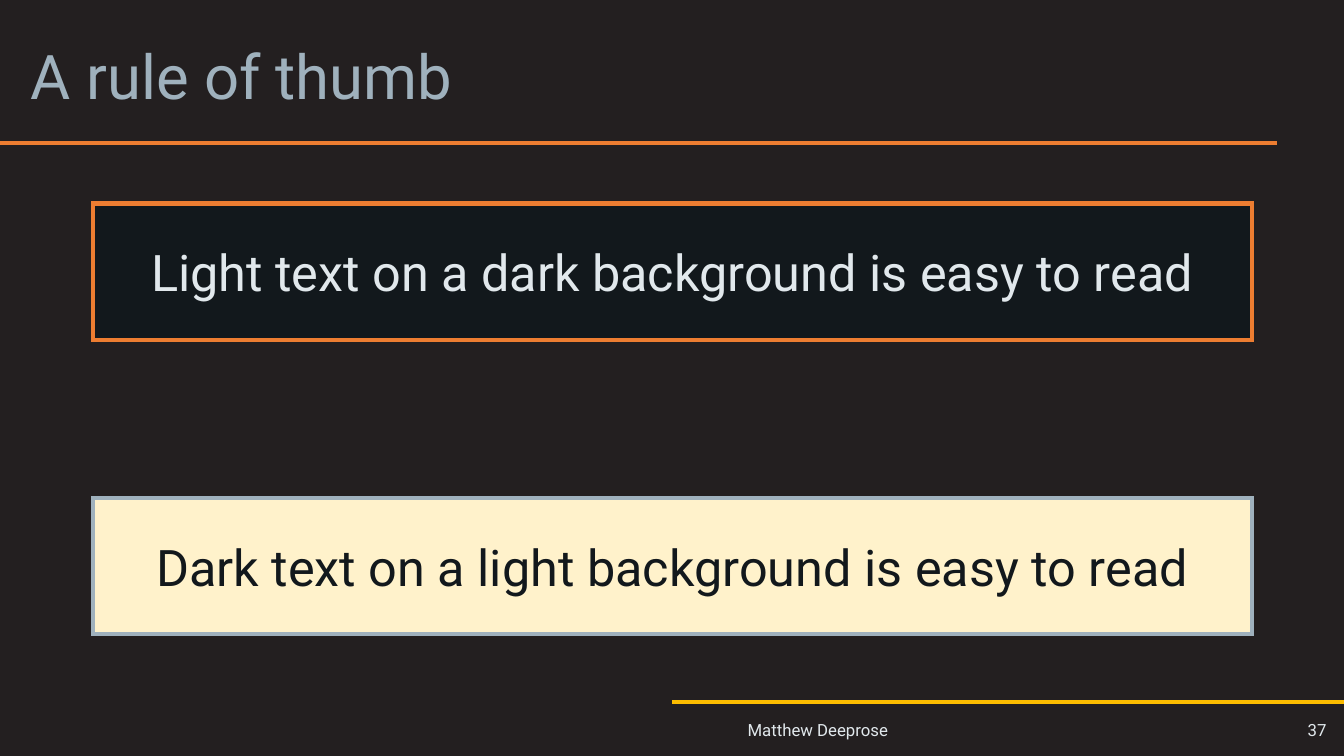
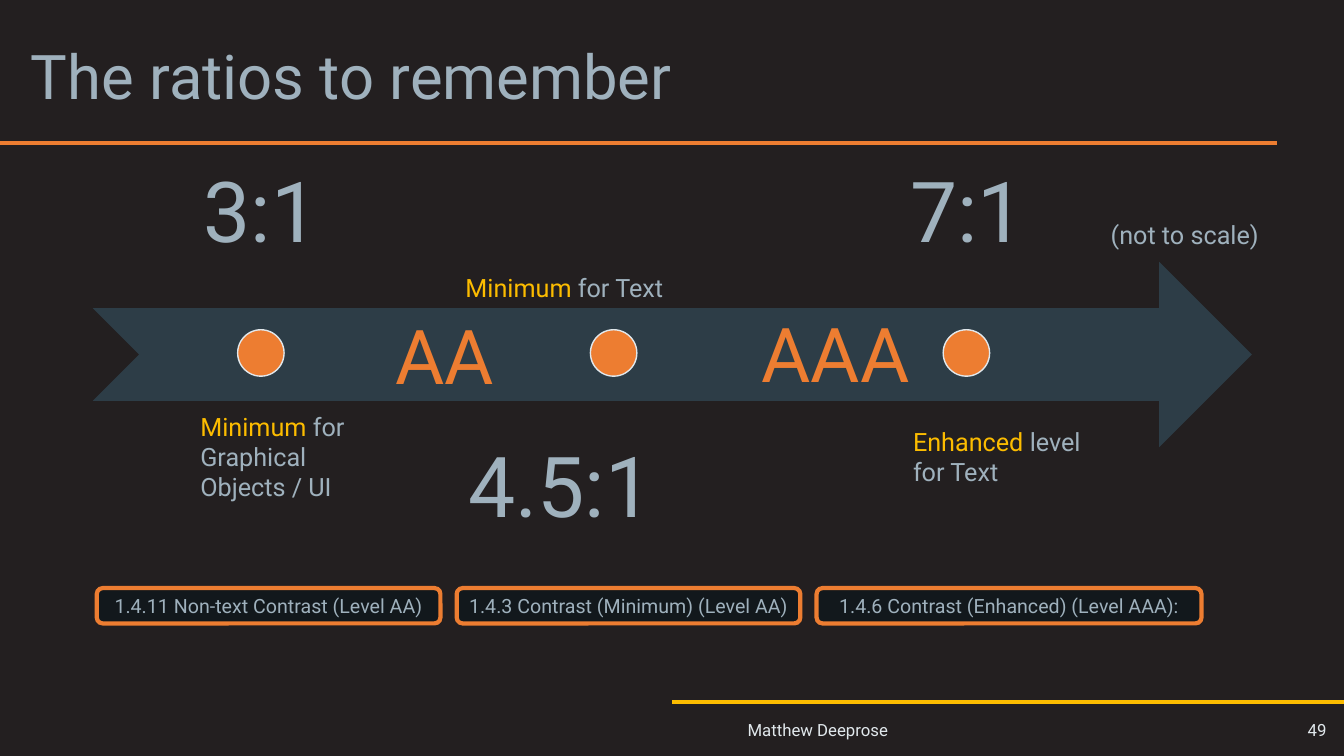
from lxml.etree import SubElement
from pptx import Presentation
from pptx.dml.color import RGBColor
from pptx.enum.shapes import MSO_CONNECTOR, MSO_SHAPE
from pptx.enum.text import MSO_ANCHOR as Anchor, PP_ALIGN as Align
from pptx.oxml.ns import qn
from pptx.util import Cm, Pt

COLORS = {
    "ground": "231F20",
    "panel": "12181C",
    "cream": "FFF2CB",
    "arrow": "2D3D47",
    "mist": "9FB1BD",
    "pale": "E1E8EC",
    "orange": "ED7D31",
    "amber": "FCBC00",
}
FONT = "Roboto"
WIDTH, HEIGHT = 33.87, 19.05


def color(name):
    return RGBColor.from_string(COLORS[name])


def write(frame, *runs, size=18, ink="mist", align=Align.LEFT,
          anchor=Anchor.TOP, spacing=None, inset=None, wrap=True):
    frame.word_wrap = wrap
    frame.vertical_anchor = anchor
    if inset is not None:
        frame.margin_left = frame.margin_right = Cm(inset)
        frame.margin_top = frame.margin_bottom = Cm(inset)
    paragraph = frame.paragraphs[0]
    paragraph.alignment = align
    if spacing:
        paragraph.line_spacing = spacing
    for entry in runs:
        words, run_ink = entry if isinstance(entry, tuple) else (entry, ink)
        run = paragraph.add_run()
        run.text = words
        run.font.name = FONT
        run.font.size = Pt(size)
        run.font.color.rgb = color(run_ink)


class Deck:
    def __init__(self):
        self.prs = Presentation()
        self.prs.slide_width, self.prs.slide_height = Cm(WIDTH), Cm(HEIGHT)
        ground = self.prs.slide_master.background.fill
        ground.solid()
        ground.fore_color.rgb = color("ground")
        self.slide = None

    def start(self, title, number):
        self.slide = self.prs.slides.add_slide(self.prs.slide_layouts[6])
        self.rule(0, 32.18, 3.61, "orange")
        self.rule(WIDTH / 2, WIDTH, 17.68, "amber")
        self.text((0.53, 0.41, 32.69, 3.2), title, size=44,
                  anchor=Anchor.MIDDLE, spacing=0.9)
        footer = {"size": 12, "ink": "pale", "anchor": Anchor.MIDDLE}
        self.text((18.59, 17.88, 11.94, 1.04), "Matthew Deeprose", **footer)
        self.text((31.17, 17.88, 2.51, 1.04), str(number),
                  align=Align.RIGHT, **footer)

    def rule(self, left, right, y, ink):
        rule = self.slide.shapes.add_connector(
            MSO_CONNECTOR.STRAIGHT, Cm(left), Cm(y), Cm(right), Cm(y))
        rule.line.color.rgb = color(ink)
        rule.line.width = Pt(3)
        SubElement(rule._element.spPr, qn("a:effectLst"))

    def text(self, place, *runs, **style):
        box = self.slide.shapes.add_textbox(*map(Cm, place))
        write(box.text_frame, *runs, **style)

    def shape(self, preset, place, fill, line=None, weight=3):
        shape = self.slide.shapes.add_shape(preset, *map(Cm, place))
        shape.shadow.inherit = False
        shape.fill.solid()
        shape.fill.fore_color.rgb = color(fill)
        if line:
            shape.line.color.rgb = color(line)
            shape.line.width = Pt(weight)
            outline = shape._element.spPr.find(qn("a:ln"))
            SubElement(outline, qn("a:miter"), lim="800000")
        else:
            shape.line.fill.background()
        return shape

    def panel(self, preset, place, words, fill, line, **style):
        panel = self.shape(preset, place, fill, line)
        write(panel.text_frame, words, align=Align.CENTER,
              anchor=Anchor.MIDDLE, **style)


def rule_of_thumb(deck):
    deck.start("A rule of thumb", 37)
    for top, words, fill, line, ink in (
        (5.13, "Light text on a dark background is easy to read",
         "panel", "orange", "pale"),
        (12.55, "Dark text on a light background is easy to read",
         "cream", "mist", "panel"),
    ):
        deck.panel(MSO_SHAPE.RECTANGLE, (2.34, top, 29.21, 3.43), words,
                   fill, line, size=36, ink=ink)


def ratios(deck):
    deck.start("The ratios to remember", 49)
    deck.shape(MSO_SHAPE.NOTCHED_RIGHT_ARROW, (2.34, 6.6, 29.21, 4.67), "arrow")
    for step in range(3):
        deck.shape(MSO_SHAPE.OVAL, (5.99 + step * 8.89, 8.31, 1.17, 1.17),
                   "orange", "pale", 1)

    for place, ratio, align, anchor in (
        ((2.34, 3.05, 8.48, 4.67), "3:1", Align.CENTER, Anchor.BOTTOM),
        ((9.15, 10.06, 8.48, 4.67), "4.5:1", Align.RIGHT, Anchor.TOP),
        ((20.14, 3.05, 8.48, 4.67), "7:1", Align.CENTER, Anchor.BOTTOM),
    ):
        deck.text(place, ratio, size=60, align=align, anchor=anchor,
                  spacing=0.9, inset=1.19)

    for place, level in (
        ((9.68, 7.67, 3.07, 2.57), "AA"),
        ((18.87, 7.62, 4.37, 2.57), "AAA"),
    ):
        deck.text(place, level, size=54, ink="orange", align=Align.CENTER,
                  wrap=False)

    for place, keyword, rest in (
        ((4.8, 10.24, 4.98, 2.57), "Minimum ", "for Graphical Objects / UI"),
        ((11.48, 6.73, 5.77, 1.02), "Minimum ", "for Text"),
        ((22.76, 10.62, 4.98, 1.8), "Enhanced ", "level for Text"),
    ):
        deck.text(place, (keyword, "amber"), rest)
    deck.text((27.74, 5.41, 4.98, 1.02), "(not to scale)")

    left, gap = 2.44, 0.41
    for criterion, width in (
        ("1.4.11 Non-text Contrast (Level AA)", 8.66),
        ("1.4.3 Contrast (Minimum) (Level AA)", 8.66),
        ("1.4.6 Contrast (Enhanced) (Level AAA):", 9.7),
    ):
        deck.panel(MSO_SHAPE.ROUNDED_RECTANGLE, (left, 14.82, width, 0.89),
                   criterion, "panel", "orange", size=14, inset=0.1)
        left += width + gap


def main():
    deck = Deck()
    rule_of_thumb(deck)
    ratios(deck)
    deck.prs.save("out.pptx")


if __name__ == "__main__":
    main()
